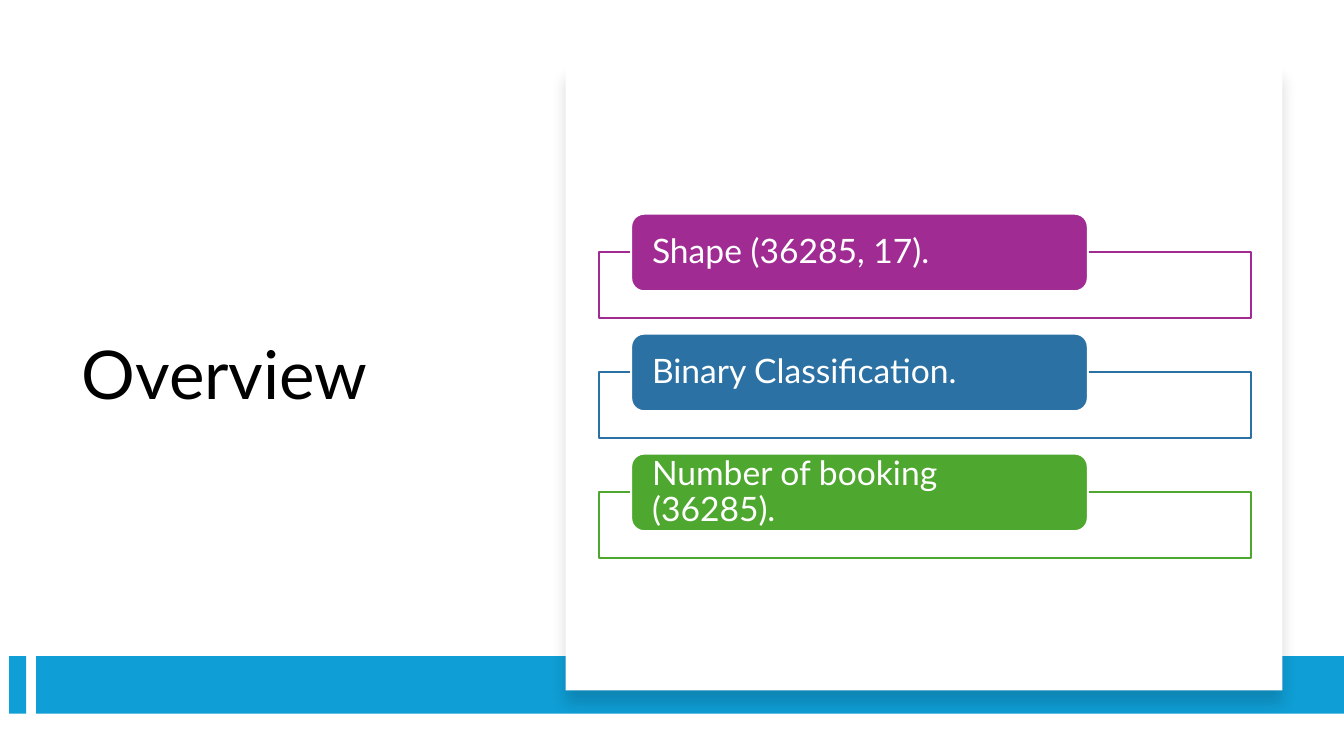
from lxml import etree
from pptx import Presentation
from pptx import util as u
from pptx.dml.color import RGBColor
from pptx.enum import shapes, text
from pptx.oxml import ns

COLORS = {
    "black": "000000",
    "white": "FFFFFF",
    "band": "0F9ED5",
    "purple": "A02B93",
    "blue": "2C71A4",
    "green": "4EA72E",
}
FONT = "Lato"


def add_box(kind, left, top, width, height, fill, line=None):
    shape = slide.shapes.add_shape(
        kind, u.Inches(left), u.Inches(top), u.Inches(width), u.Inches(height)
    )
    shape.shadow.inherit = False
    shape.fill.solid()
    shape.fill.fore_color.rgb = RGBColor.from_string(COLORS[fill])
    if line:
        shape.line.color.rgb = RGBColor.from_string(COLORS[line])
        shape.line.width = u.Pt(1.5)
    else:
        shape.line.fill.background()
    return shape


def write_text(shape, wording, size, color):
    frame = shape.text_frame
    frame.word_wrap = True
    frame.auto_size = text.MSO_AUTO_SIZE.NONE
    frame.vertical_anchor = text.MSO_ANCHOR.MIDDLE
    paragraph = frame.paragraphs[0]
    paragraph.alignment = text.PP_ALIGN.LEFT
    paragraph.line_spacing = 0.9
    run = paragraph.add_run()
    run.text = wording
    run.font.name = FONT
    run.font.size = u.Pt(size)
    run.font.color.rgb = RGBColor.from_string(COLORS[color])


presentation = Presentation()
presentation.slide_width = u.Inches(13.33)
presentation.slide_height = u.Inches(7.5)
slide = presentation.slides.add_slide(presentation.slide_layouts[5])

title = slide.shapes.title
title.left, title.top = u.Inches(0.71), u.Inches(1.2)
title.width, title.height = u.Inches(4.15), u.Inches(5.1)
write_text(title, "Overview", 48, "black")

RECTANGLE = shapes.MSO_SHAPE.RECTANGLE
for left, width in [(0.09, 0.17), (0.36, 12.97)]:
    add_box(RECTANGLE, left, 6.51, width, 0.57, "band")

panel = add_box(RECTANGLE, 5.61, 0.64, 7.11, 6.21, "white")
effects = panel._element.spPr.find(ns.qn("a:effectLst"))
shadow = etree.SubElement(
    effects,
    ns.qn("a:outerShdw"),
    blurRad=str(u.Pt(11)),
    dist=str(u.Pt(10)),
    dir="5400000",
    algn="t",
    rotWithShape="0",
)
shadow_color = etree.SubElement(shadow, ns.qn("a:srgbClr"), val=COLORS["black"])
etree.SubElement(shadow_color, ns.qn("a:alpha"), val="15000")

facts = [
    ("Shape (36285, 17).", "purple"),
    ("Binary Classification.", "blue"),
    ("Number of booking (36285).", "green"),
]
for index, (wording, color) in enumerate(facts):
    top = 2.12 + index * 1.19
    frame_box = add_box(RECTANGLE, 5.94, top + 0.38, 6.47, 0.66, "white", color)
    fill_color = frame_box._element.spPr.find(ns.qn("a:solidFill"))[0]
    etree.SubElement(fill_color, ns.qn("a:alpha"), val="90000")

    label = add_box(
        shapes.MSO_SHAPE.ROUNDED_RECTANGLE, 6.26, top, 4.53, 0.77, color, "white"
    )
    label.text_frame.margin_left = label.text_frame.margin_right = u.Inches(0.17)
    label.text_frame.margin_top = label.text_frame.margin_bottom = 0
    write_text(label, wording, 24, "white")

presentation.save("out.pptx")
